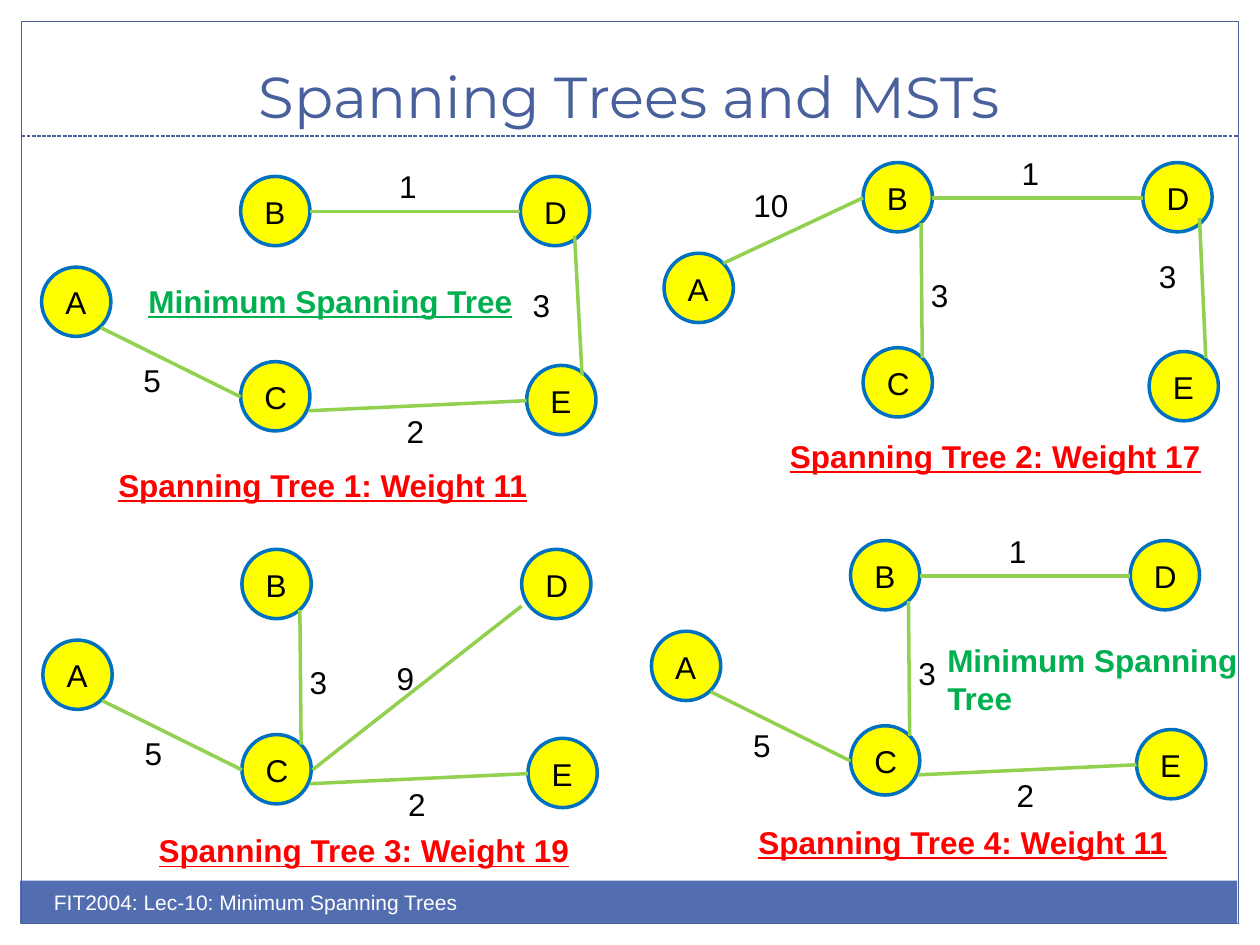
from pptx import Presentation
from pptx.dml.color import RGBColor
from pptx.enum.dml import MSO_LINE
from pptx.enum.shapes import MSO_CONNECTOR, MSO_SHAPE
from pptx.enum.text import MSO_ANCHOR, MSO_AUTO_SIZE, PP_ALIGN
from pptx.util import Inches, Pt
from lxml import etree

RECTANGLE, ELLIPSE = MSO_SHAPE.RECTANGLE, MSO_SHAPE.OVAL
STRAIGHT = MSO_CONNECTOR.STRAIGHT
DASHED = MSO_LINE.SQUARE_DOT
BOTTOM, TOP = MSO_ANCHOR.BOTTOM, MSO_ANCHOR.TOP
CENTER, LEFT = PP_ALIGN.CENTER, PP_ALIGN.LEFT
FIT_SHAPE = MSO_AUTO_SIZE.SHAPE_TO_FIT_TEXT
DRAWING = "http://schemas.openxmlformats.org/drawingml/2006/main"

FRAME, BAR = "48609B", "526DB0"
NODE_FILL, NODE_LINE, EDGE = "FFFF00", "0070C0", "92D050"
NODE_SIZE = 0.55

TITLE = "Spanning Trees and MSTs"
FOOTER = "FIT2004: Lec-10: Minimum Spanning Trees"

# Node positions, measured from the corner of node A
NODES = {"C": (1.58, 0.75), "B": (1.58, -0.72), "E": (3.85, 0.78),
         "D": (3.80, -0.72), "A": (0, 0)}

# Edge: start, end, weight, corner of the weight label
EDGES = {
    "AB": ((0.47, 0.08), (1.58, -0.44), "10", (0.61, -0.58)),
    "AC": ((0.47, 0.48), (1.58, 1.03), "5", (0.71, 0.70)),
    "BD": ((2.13, -0.44), (3.80, -0.44), "1", (2.74, -0.84)),
    "BC": ((2.05, 0.83), (2.04, -0.24), "3", (2.02, 0.13)),
    "CD": ((2.14, 1.03), (3.80, -0.27), "9", (2.71, 0.10)),
    "CE": ((2.12, 1.14), (3.85, 1.06), "2", (2.80, 1.10)),
    "DE": ((4.29, 0.86), (4.23, -0.25), "3", (3.80, 0.10)),
    "DE high": ((4.30, 0.83), (4.25, -0.28), "3", (3.83, -0.02)),
}

# Corner of node A, edges, caption, corner of the caption
TREES = [
    ((5.17, 5.01), ["AC", "BD", "BC", "CE"], "Spanning Tree 4: Weight 11", (5.92, 6.48)),
    ((0.34, 5.08), ["AC", "CD", "BC", "CE"], "Spanning Tree 3: Weight 19", (1.16, 6.55)),
    ((5.27, 2.01), ["AB", "BD", "BC", "DE high"], "Spanning Tree 2: Weight 17", (6.17, 3.42)),
    ((0.33, 2.12), ["AC", "BD", "CE", "DE"], "Spanning Tree 1: Weight 11", (0.84, 3.65)),
]

PLAIN = {"size": Pt(18), "name": "Arial"}
CAPTION = {**PLAIN, "bold": True, "underline": True}
MINIMUM = [
    (["Minimum Spanning Tree"], (1.08, 2.19, 3.12, 0.4), CAPTION),
    (["Minimum Spanning", "Tree"], (7.42, 5.04, 2.53, 0.71), {**PLAIN, "bold": True}),
]


def color(value):
    """Turn a hex string into a colour."""
    return RGBColor.from_string(value)


def add_text(shapes, lines, place, style, ink="000000", align=LEFT, anchor=TOP, wrap=False):
    """Add a text box with one paragraph for each line."""
    box = shapes.add_textbox(*map(Inches, place))
    frame = box.text_frame
    frame.word_wrap = wrap
    frame.vertical_anchor = anchor
    if not wrap:
        frame.auto_size = FIT_SHAPE
    for index, line in enumerate(lines):
        para = frame.paragraphs[0] if index == 0 else frame.add_paragraph()
        para.alignment = align
        span = para.add_run()
        span.text = line
        span.font.color.rgb = color(ink)
        for attribute, value in style.items():
            setattr(span.font, attribute, value)


def add_panel(shapes, kind, place, fill=None, line=None, width=0.75):
    """Add a preset shape with an optional fill and outline."""
    panel = shapes.add_shape(kind, *map(Inches, place))
    panel.shadow.inherit = False
    for part, value in ((panel.fill, fill), (panel.line.fill, line)):
        if value:
            part.solid()
            part.fore_color.rgb = color(value)
        else:
            part.background()
    if line:
        panel.line.width = Pt(width)


def add_line(shapes, start, end, ink, width, dash=None):
    """Add a straight connector without a shadow."""
    line = shapes.add_connector(STRAIGHT, *map(Inches, (*start, *end)))
    line.line.color.rgb = color(ink)
    line.line.width = Pt(width)
    if dash:
        line.line.dash_style = dash
    etree.SubElement(line._element.spPr, f"{{{DRAWING}}}effectLst")


def add_tree(page, origin, edges):
    """Draw one spanning tree as a group."""
    def shift(point):
        """Move a point from tree to page coordinates."""
        return origin[0] + point[0], origin[1] + point[1]

    shapes = page.shapes.add_group_shape().shapes
    for letter, corner in NODES.items():
        left, top = shift(corner)
        add_panel(shapes, ELLIPSE, (left, top, NODE_SIZE, NODE_SIZE), NODE_FILL, NODE_LINE, 2)
        add_text(shapes, [letter], (left + 0.09, top + 0.08, 0.38, 0.4), PLAIN)
    for name in edges:
        start, end, weight, corner = EDGES[name]
        add_line(shapes, shift(start), shift(end), EDGE, 2)
        label_width = 0.2 + 0.14 * len(weight)
        add_text(shapes, [weight], (*shift(corner), label_width, 0.4), PLAIN)


deck = Presentation()
deck.slide_width, deck.slide_height = Inches(10), Inches(7.5)
page = deck.slides.add_slide(deck.slide_layouts[6])

add_panel(page.shapes, RECTANGLE, (0.16, 6.99, 9.66, 0.34), fill=BAR)
add_panel(page.shapes, RECTANGLE, (0.17, 0.17, 9.66, 7.16), line=FRAME)
add_line(page.shapes, (0.17, 1.08), (9.83, 1.08), FRAME, 0.75, DASHED)
add_text(page.shapes, [TITLE], (0.33, 0.25, 9.33, 0.83),
         {"size": Pt(33), "name": "Montserrat"}, FRAME, CENTER, BOTTOM, wrap=True)
add_text(page.shapes, [FOOTER], (0.33, 7.01, 5, 0.4),
         {"size": Pt(12), "name": "Arial"}, "FFFFFF", wrap=True)

for origin, edges, caption, corner in TREES:
    add_tree(page, origin, edges)
    add_text(page.shapes, [caption], (*corner, 3.49, 0.4), CAPTION, "FF0000")
for lines, place, style in MINIMUM:
    add_text(page.shapes, lines, place, style, "00B050")

deck.save("out.pptx")
